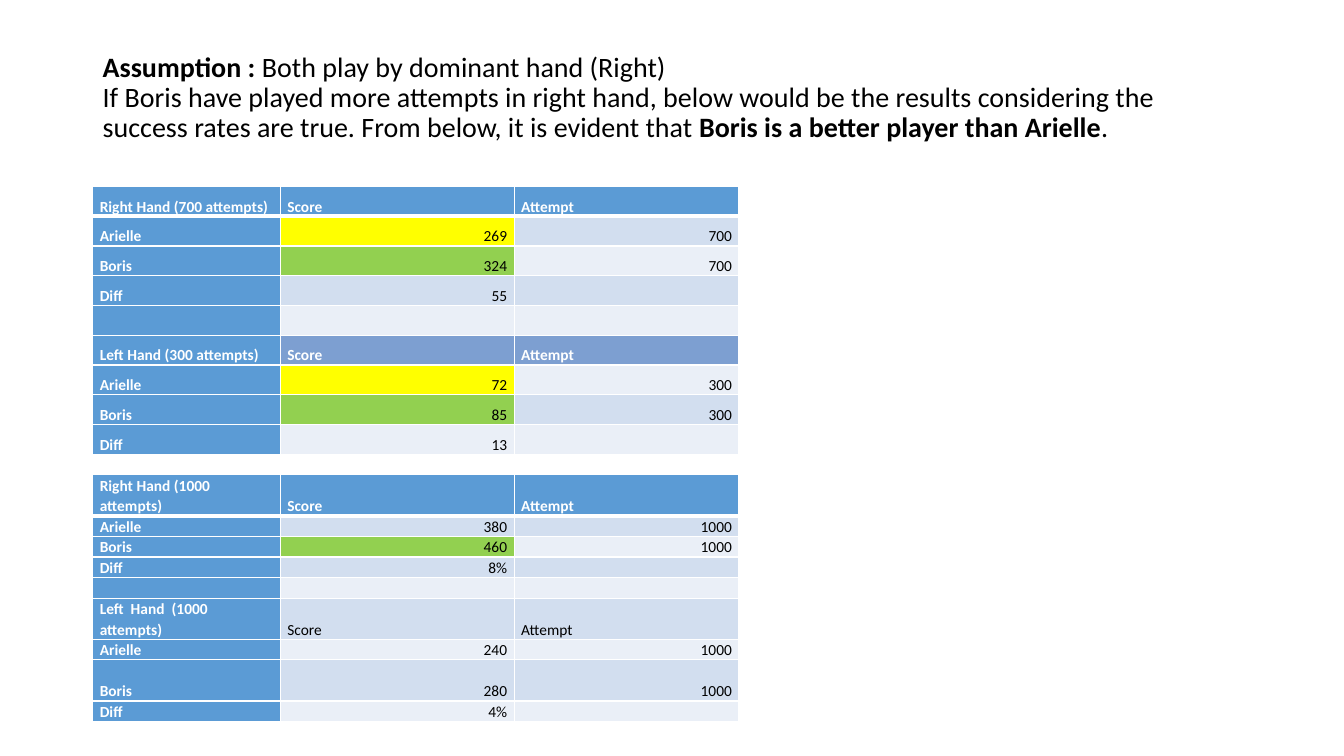
from lxml import etree
from pptx import Presentation
from pptx import util as u
from pptx.dml.color import RGBColor
from pptx.enum import text
from pptx.oxml.ns import qn

WHITE = RGBColor(0xFF, 0xFF, 0xFF)
BLACK = RGBColor(0, 0, 0)
BLUE = RGBColor(0x5B, 0x9B, 0xD5)
SLATE = RGBColor(0x7D, 0x9F, 0xD1)
DARK_BAND = RGBColor(0xD2, 0xDE, 0xEF)
LIGHT_BAND = RGBColor(0xEA, 0xEF, 0xF7)
YELLOW = RGBColor(0xFF, 0xFF, 0)
GREEN = RGBColor(0x92, 0xD0, 0x50)

LEFT = 0.92
COLS = [1.86, 2.32, 2.23]
HEADINGS = (0, 5)


def set_borders(cell, bottom):
    """Draw white cell borders, with the bottom one of the given width in points."""
    tcPr = cell._tc.get_or_add_tcPr()
    for side, width in (("L", 1), ("R", 1), ("T", 1), ("B", bottom)):
        ln = etree.SubElement(tcPr, qn("a:ln" + side), w=str(u.Pt(width)))
        fill = etree.SubElement(ln, qn("a:solidFill"))
        etree.SubElement(fill, qn("a:srgbClr"), val=str(WHITE))


def add_score_table(s, top, heights, rows, fills, plain):
    """Add a score table; fills maps special cells to colours, plain lists black heading rows."""
    tbl = s.shapes.add_table(len(rows), len(COLS), u.Inches(LEFT), u.Inches(top),
                             u.Inches(sum(COLS)), u.Inches(sum(heights))).table
    for col, width in zip(tbl.columns, COLS):
        col.width = u.Inches(width)
    for i, (row, height) in enumerate(zip(rows, heights)):
        tbl.rows[i].height = u.Inches(height)
        for j, value in enumerate(row):
            cell = tbl.cell(i, j)
            set_borders(cell, 3 if i == 0 else 1)
            band = DARK_BAND if i % 2 else LIGHT_BAND
            cell.fill.solid()
            cell.fill.fore_color.rgb = BLUE if i == 0 or j == 0 else fills.get((i, j), band)
            cell.margin_left = cell.margin_right = u.Inches(0.07)
            cell.margin_top = cell.margin_bottom = 0
            cell.vertical_anchor = text.MSO_ANCHOR.BOTTOM
            p = cell.text_frame.paragraphs[0]
            p.line_spacing = 1.07
            if j and i not in HEADINGS:
                p.alignment = text.PP_ALIGN.RIGHT
            strong = j == 0 or (i in HEADINGS and i not in plain)
            p.font.name, p.font.size, p.font.bold = "Calibri", u.Pt(11), strong
            p.font.color.rgb = WHITE if strong else BLACK
            if value:
                p.add_run().text = value
            else:
                etree.SubElement(p._p, qn("a:endParaRPr"), sz="1100")


prs = Presentation()
prs.slide_width, prs.slide_height = u.Inches(13.33), u.Inches(7.5)
s = prs.slides.add_slide(prs.slide_layouts[6])

# Title
title = s.shapes.add_textbox(u.Inches(LEFT), u.Inches(0.4), u.Inches(11.5), u.Inches(1.45))
tf = title.text_frame
tf.word_wrap = True
tf.vertical_anchor = text.MSO_ANCHOR.MIDDLE
tf.margin_bottom = u.Inches(0.35)
lines = [
    [("Assumption : ", True), ("Both play by dominant hand (Right)", False)],
    [("If Boris have played more attempts in right hand, below would be the results "
      "considering the success rates are true. From below, it is evident that ", False),
     ("Boris is a better player than Arielle", True), (".", False)],
]
for n, line in enumerate(lines):
    p = tf.add_paragraph() if n else tf.paragraphs[0]
    p.line_spacing = 0.9
    p.font.name, p.font.size, p.font.color.rgb = "Calibri", u.Pt(20), BLACK
    for words, bold in line:
        r = p.add_run()
        r.text, r.font.bold = words, bold

# Scores at equal attempts per hand
add_score_table(s, 1.85, [2.66 / 9] * 9, [
    ("Right Hand (700 attempts)", "Score", "Attempt"),
    ("Arielle", "269", "700"),
    ("Boris", "324", "700"),
    ("Diff", "55", ""),
    ("", "", ""),
    ("Left Hand (300 attempts)", "Score", "Attempt"),
    ("Arielle", "72", "300"),
    ("Boris", "85", "300"),
    ("Diff", "13", ""),
], {(1, 1): YELLOW, (6, 1): YELLOW, (2, 1): GREEN, (7, 1): GREEN,
    (5, 1): SLATE, (5, 2): SLATE}, ())

# Scores scaled to 1000 attempts: rows 0, 5 and 7 are two lines high
line_height = 2.45 / 12
add_score_table(s, 4.71, [line_height * (2 if i in (0, 5, 7) else 1) for i in range(9)], [
    ("Right Hand (1000 attempts)", "Score", "Attempt"),
    ("Arielle", "380", "1000"),
    ("Boris", "460", "1000"),
    ("Diff", "8%", ""),
    ("", "", ""),
    ("Left  Hand  (1000 attempts)", "Score", "Attempt"),
    ("Arielle", "240", "1000"),
    ("Boris", "280", "1000"),
    ("Diff", "4%", ""),
], {(2, 1): GREEN}, (5,))

prs.save("out.pptx")
